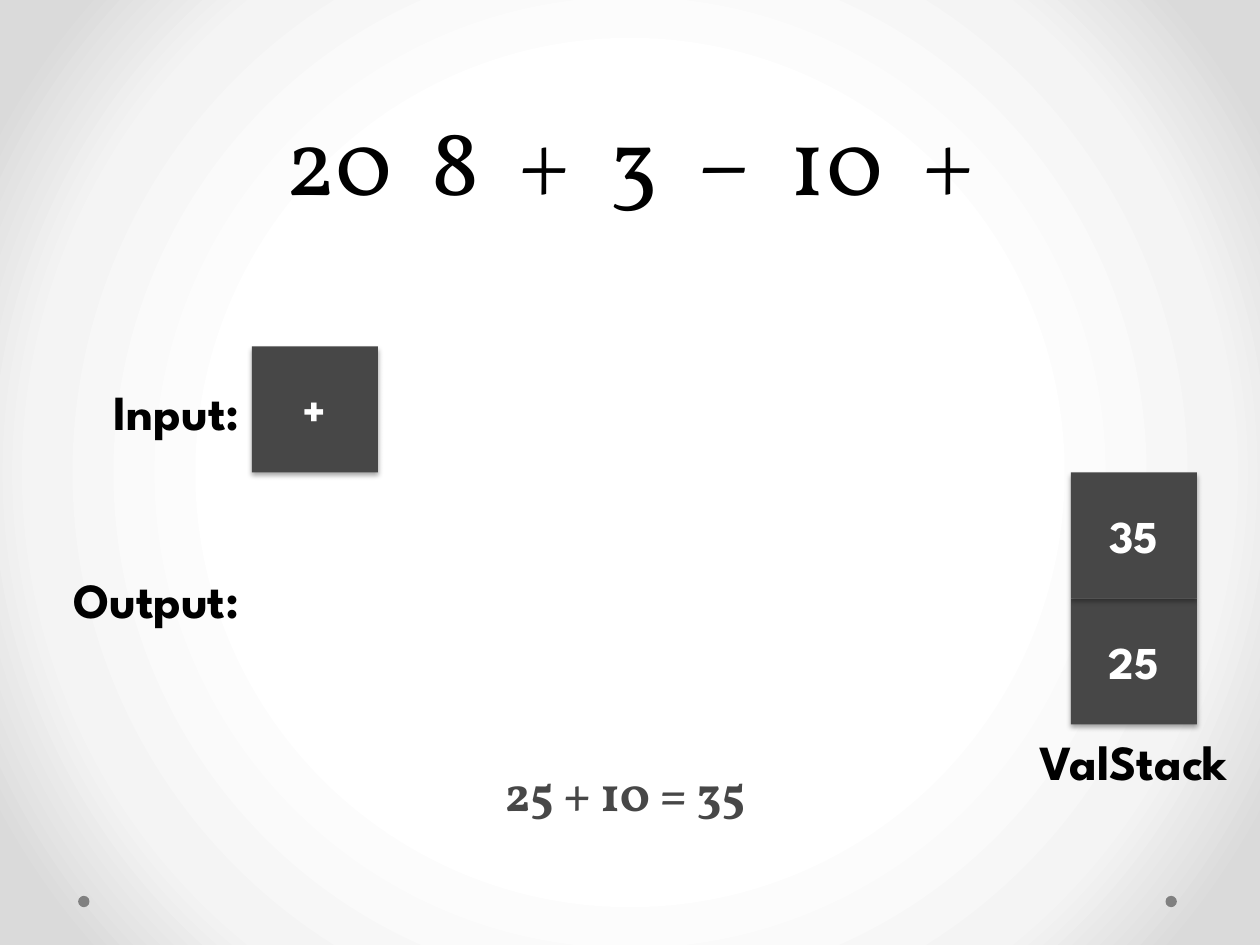
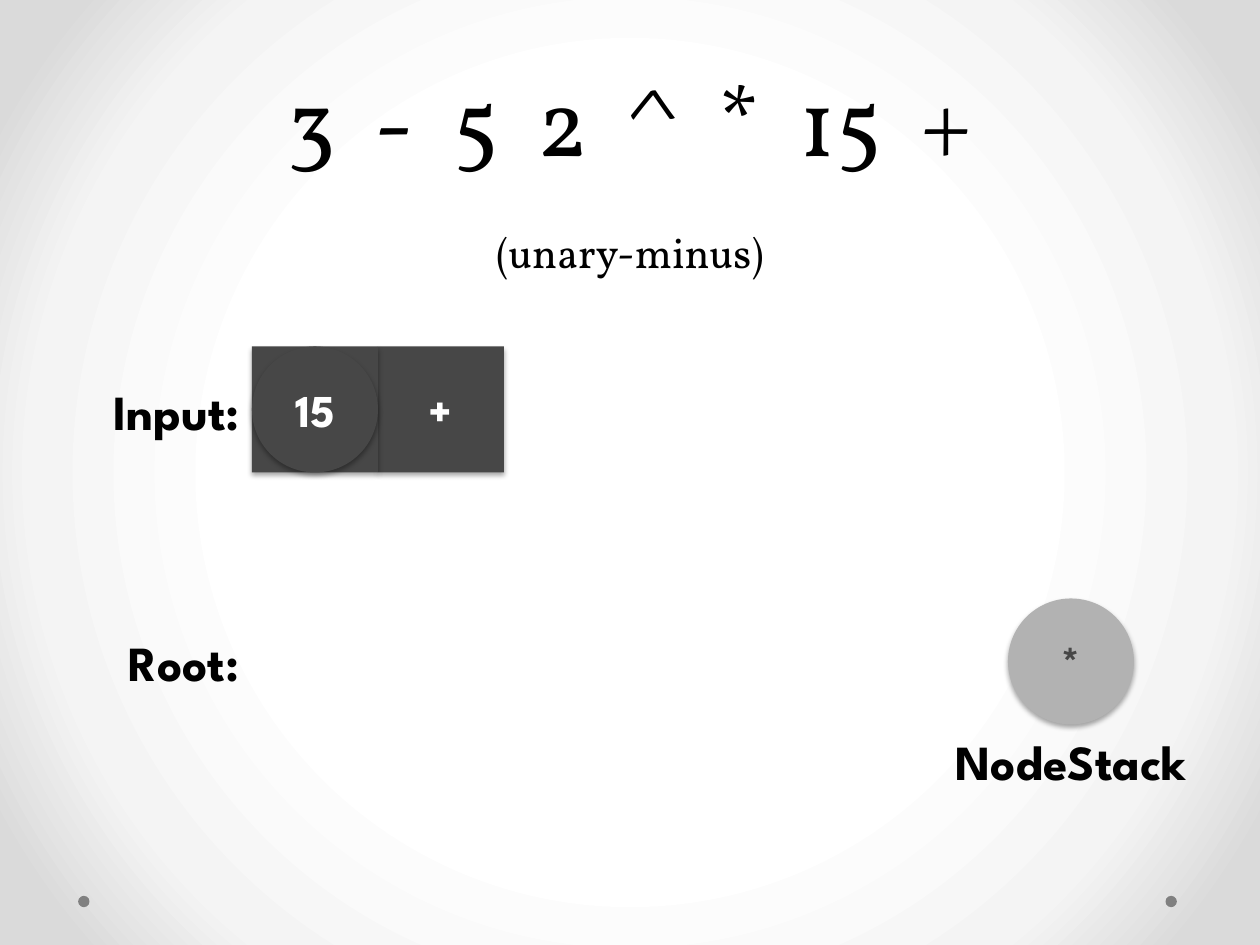
from lxml import etree
from pptx import Presentation
from pptx.dml.color import RGBColor
from pptx.enum import shapes, text
from pptx.oxml import parse_xml
from pptx.oxml.ns import qn
from pptx.util import Inches, Pt

COLORS = {"ink": "000000", "tile": "474747", "tile_text": "FFFFFF",
          "node": "B2B2B2", "dot": "808080"}
BACKDROP = [(50, "FFFFFF"), (76, "F4F4F4"), (92, "DADADA")]
LABEL_FONT, TITLE_FONT = "League Spartan", "Vollkorn"
RECT, CIRCLE = shapes.MSO_SHAPE.RECTANGLE, shapes.MSO_SHAPE.OVAL

SLIDES = [
    {
        "expression": ["20", "8", "+", "3", "–", "10", "+"], "subtitle": "", "title_top": 0,
        "input": ["+"], "current_node": "",
        "result_label": "Output:", "result_middle": 4.75,
        "stack_label": "ValStack", "stack_center": 9, "stack": ["25", "35"],
        "stack_style": (RECT, "tile", "tile_text"), "step": "25 + 10 = 35",
    },
    {
        "expression": ["3", "-", "5", "2", "^", "*", "15", "+"],
        "subtitle": "(unary-minus)", "title_top": 0.5,
        "input": ["15", "+"], "current_node": "15",
        "result_label": "Root:", "result_middle": 5.25,
        "stack_label": "NodeStack", "stack_center": 8.5, "stack": ["*"],
        "stack_style": (CIRCLE, "node", "tile"), "step": "",
    },
]

TILE = 1
INPUT_LEFT, INPUT_TOP, STACK_BOTTOM_TOP = 2, 2.75, 4.75
DOT, DOT_TOP, DOT_LEFTS = 0.09, 7.11, (0.62, 9.25)
TOKEN_GAP = 11.5  # points added to each space between tokens


def rgb(name):
    return RGBColor.from_string(COLORS[name])


def format_run(run, size, color="ink", font=LABEL_FONT, bold=True):
    run.font.size, run.font.name, run.font.bold = Pt(size), font, bold
    run.font.color.rgb = rgb(color)


def write(shape, words, align="CENTER", anchor="MIDDLE", **style):
    frame = shape.text_frame
    frame.word_wrap = True
    frame.vertical_anchor = text.MSO_ANCHOR[anchor]
    paragraph = frame.paragraphs[0]
    paragraph.alignment = text.PP_ALIGN[align]
    run = paragraph.add_run()
    run.text = words
    format_run(run, **style)
    return paragraph


def box(slide, left, top, width, height):
    return slide.shapes.add_textbox(*map(Inches, (left, top, width, height)))


def flat_shape(slide, kind, left, top, size, color):
    shape = slide.shapes.add_shape(kind, *map(Inches, (left, top, size, size)))
    shape.shadow.inherit = False
    shape.fill.solid()
    shape.fill.fore_color.rgb = rgb(color)
    shape.line.fill.background()
    return shape


def add_tile(slide, left, top, value, kind=RECT, fill="tile", color="tile_text"):
    tile = flat_shape(slide, kind, left, top, TILE, fill)
    effects = tile._element.spPr.find(qn("a:effectLst"))
    shadow = etree.SubElement(effects, qn("a:outerShdw"), blurRad=str(Pt(3.1)),
                              dist=str(Pt(1.8)), dir="5400000", rotWithShape="0")
    black = etree.SubElement(shadow, qn("a:srgbClr"), val=COLORS["ink"])
    etree.SubElement(black, qn("a:alpha"), val="35000")
    write(tile, value, size=26, color=color)


def add_title(slide, tokens, subtitle, top):
    style = dict(size=54, font=TITLE_FONT, bold=False)
    title = write(box(slide, 0.5, top, 9, 1.75), tokens[0], anchor="BOTTOM", **style)
    title.line_spacing = Pt(58)
    for token in tokens[1:]:
        for piece in (" ", token):
            run = title.add_run()
            run.text = piece
            format_run(run, **style)
            if piece == " ":
                run._r.get_or_add_rPr().set("spc", str(int(TOKEN_GAP * 100)))
    if subtitle:
        title.add_line_break()
        run = title.add_run()
        run.text = subtitle
        format_run(run, **{**style, "size": 24})


def set_backdrop(master):
    """Give every slide the radial gradient through the master."""
    master.background.fill.solid()
    properties = master._element.cSld.bg.bgPr
    stops = "".join(f'<a:gs pos="{at * 1000}"><a:srgbClr val="{color}"/></a:gs>'
                    for at, color in BACKDROP)
    gradient = parse_xml(
        '<a:gradFill xmlns:a="http://schemas.openxmlformats.org/drawingml/2006/main" '
        f'rotWithShape="1"><a:gsLst>{stops}</a:gsLst><a:path path="circle">'
        '<a:fillToRect l="50000" t="50000" r="50000" b="50000"/></a:path></a:gradFill>')
    properties.replace(properties[0], gradient)


def build_slide(slide, content):
    for left in DOT_LEFTS:
        flat_shape(slide, CIRCLE, left, DOT_TOP, DOT, "dot")

    add_title(slide, content["expression"], content["subtitle"], content["title_top"])
    row_labels = [("Input:", INPUT_TOP + 0.51),
                  (content["result_label"], content["result_middle"])]
    for label, middle in row_labels:
        write(box(slide, 0, middle - 0.5, INPUT_LEFT, 1), label, align="RIGHT", size=28)
    center = content["stack_center"]
    write(box(slide, center - 1.25, 5.76, 2.5, 0.57), content["stack_label"],
          anchor="TOP", size=28)
    if content["step"]:
        write(box(slide, 2.17, 6, 5.58, 0.57), content["step"], anchor="TOP",
              size=28, color="tile", font=TITLE_FONT)

    for place, value in reversed(list(enumerate(content["input"]))):
        add_tile(slide, INPUT_LEFT + place * TILE, INPUT_TOP, value)
    if content["current_node"]:
        add_tile(slide, INPUT_LEFT, INPUT_TOP, content["current_node"], CIRCLE)
    for level, value in enumerate(content["stack"]):
        add_tile(slide, center - TILE / 2, STACK_BOTTOM_TOP - level * TILE, value,
                 *content["stack_style"])


def main():
    deck = Presentation()
    deck.slide_width, deck.slide_height = Inches(10), Inches(7.5)
    set_backdrop(deck.slide_master)
    for content in SLIDES:
        build_slide(deck.slides.add_slide(deck.slide_layouts[6]), content)
    deck.save("out.pptx")


if __name__ == "__main__":
    main()
